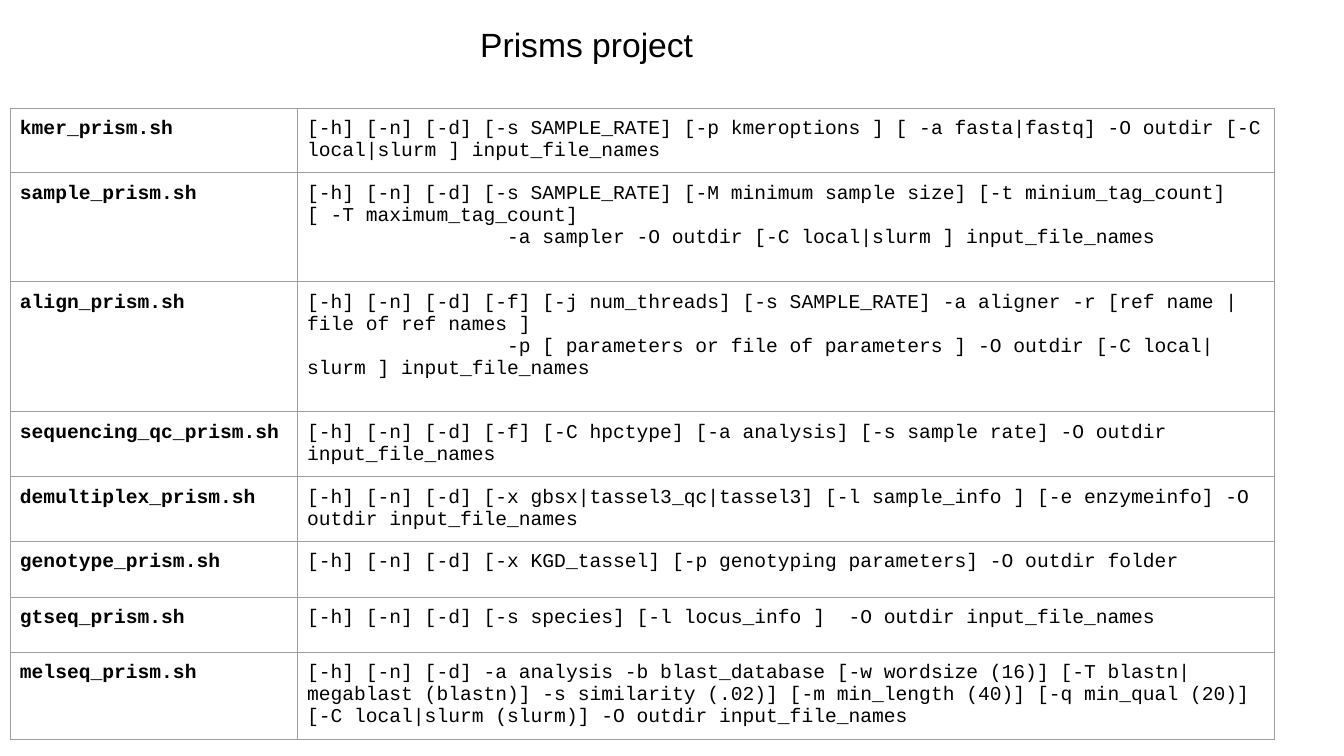
from pptx import Presentation, util as u
from pptx.dml.color import RGBColor
from pptx.enum import text
from pptx.oxml import parse_xml
from pptx.oxml.ns import nsdecls

BLACK = RGBColor(0x00, 0x00, 0x00)
GREY = RGBColor(0x9E, 0x9E, 0x9E)
SCALE = 914400 / 100.8
PAD = 10
INDENT = 200  # first-line indent of a continued option list

COLS = [287, 977]
# Script, option paragraphs, row height
ROWS = [
    ("kmer_prism.sh",
     ["[-h] [-n] [-d] [-s SAMPLE_RATE] [-p kmeroptions ] [ -a fasta|fastq] "
      "-O outdir [-C local|slurm ] input_file_names"], 65),
    ("sample_prism.sh",
     ["[-h] [-n] [-d] [-s SAMPLE_RATE] [-M minimum sample size] "
      "[-t minium_tag_count] [ -T maximum_tag_count]",
      "-a sampler -O outdir [-C local|slurm ] input_file_names"], 109),
    ("align_prism.sh",
     ["[-h] [-n] [-d] [-f] [-j num_threads] [-s SAMPLE_RATE] -a aligner "
      "-r [ref name | file of ref names ]",
      "-p [ parameters or file of parameters ] -O outdir [-C local|slurm ] "
      "input_file_names"], 130),
    ("sequencing_qc_prism.sh",
     ["[-h] [-n] [-d] [-f] [-C hpctype] [-a analysis] [-s sample rate] "
      "-O outdir input_file_names"], 65),
    ("demultiplex_prism.sh",
     ["[-h] [-n] [-d] [-x gbsx|tassel3_qc|tassel3] [-l sample_info ] "
      "[-e enzymeinfo] -O outdir input_file_names"], 64),
    ("genotype_prism.sh",
     ["[-h] [-n] [-d] [-x KGD_tassel] [-p genotyping parameters] "
      "-O outdir folder"], 56),
    ("gtseq_prism.sh",
     ["[-h] [-n] [-d] [-s species] [-l locus_info ]  "
      "-O outdir input_file_names"], 55),
    ("melseq_prism.sh",
     ["[-h] [-n] [-d] -a analysis -b blast_database [-w wordsize (16)] "
      "[-T blastn|megablast (blastn)] -s similarity (.02)] "
      "[-m min_length (40)] [-q min_qual (20)] [-C local|slurm (slurm)] "
      "-O outdir input_file_names"], 87),
]


def px(n):
    return u.Emu(round(n * SCALE))


def style(para, font, size, bold=False):
    for run in para.runs:
        run.font.name = font
        run.font.size = u.Pt(size)
        run.font.bold = bold
        run.font.color.rgb = BLACK


def border(cell):
    props = cell._tc.get_or_add_tcPr()
    for side in "LRTB":
        props.append(parse_xml(
            f'<a:ln{side} {nsdecls("a")} w="{u.Pt(0.75)}"><a:solidFill>'
            f'<a:srgbClr val="{GREY}"/></a:solidFill></a:ln{side}>'))


def fill_cell(cell, lines, bold):
    border(cell)
    cell.fill.background()
    cell.margin_left = cell.margin_right = px(PAD)
    cell.margin_top = cell.margin_bottom = px(PAD)
    cell.vertical_anchor = text.MSO_ANCHOR.TOP
    cell.text_frame.text = "\n".join(lines)
    for i, para in enumerate(cell.text_frame.paragraphs):
        style(para, "Courier New", 14, bold)
        if i:
            props = para._p.get_or_add_pPr()
            props.set("marL", "0")
            props.set("indent", str(px(INDENT)))


def add_title(slide, x, y, w, h):
    title = slide.shapes.title
    title.left, title.top, title.width, title.height = map(px, (x, y, w, h))
    frame = title.text_frame
    frame.text = "Prisms project"
    frame.auto_size = text.MSO_AUTO_SIZE.NONE
    frame.vertical_anchor = text.MSO_ANCHOR.TOP
    frame.margin_left, frame.margin_right = px(13), px(33)
    frame.margin_top, frame.margin_bottom = px(17), px(0)
    para = frame.paragraphs[0]
    para.alignment = text.PP_ALIGN.CENTER
    style(para, "Arial", 24)


def add_usage(slide, x, y):
    high = sum(row[2] for row in ROWS)
    table = slide.shapes.add_table(
        len(ROWS), len(COLS), px(x), px(y), px(sum(COLS)), px(high)).table
    table.first_row = table.horz_banding = False
    for col, wide in zip(table.columns, COLS):
        col.width = px(wide)
    for row, (name, lines, tall) in zip(table.rows, ROWS):
        row.height = px(tall)
        fill_cell(row.cells[0], [name], True)
        fill_cell(row.cells[1], lines, False)


deck = Presentation()
deck.slide_width, deck.slide_height = u.Inches(13.33), u.Inches(7.5)
page = deck.slides.add_slide(deck.slide_layouts[5])

# Heading
add_title(page, 160, 7, 873, 61)
# Scripts and their options
add_usage(page, 10, 108)

deck.save("out.pptx")
